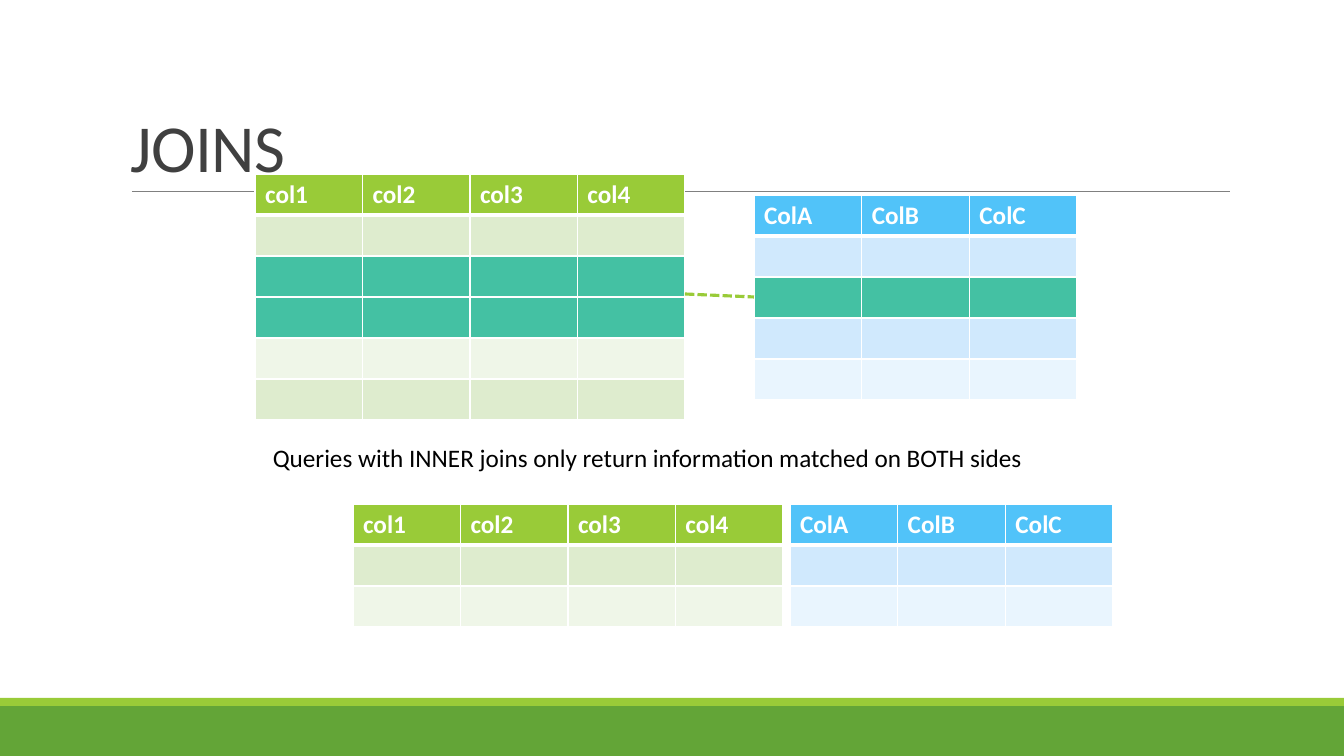
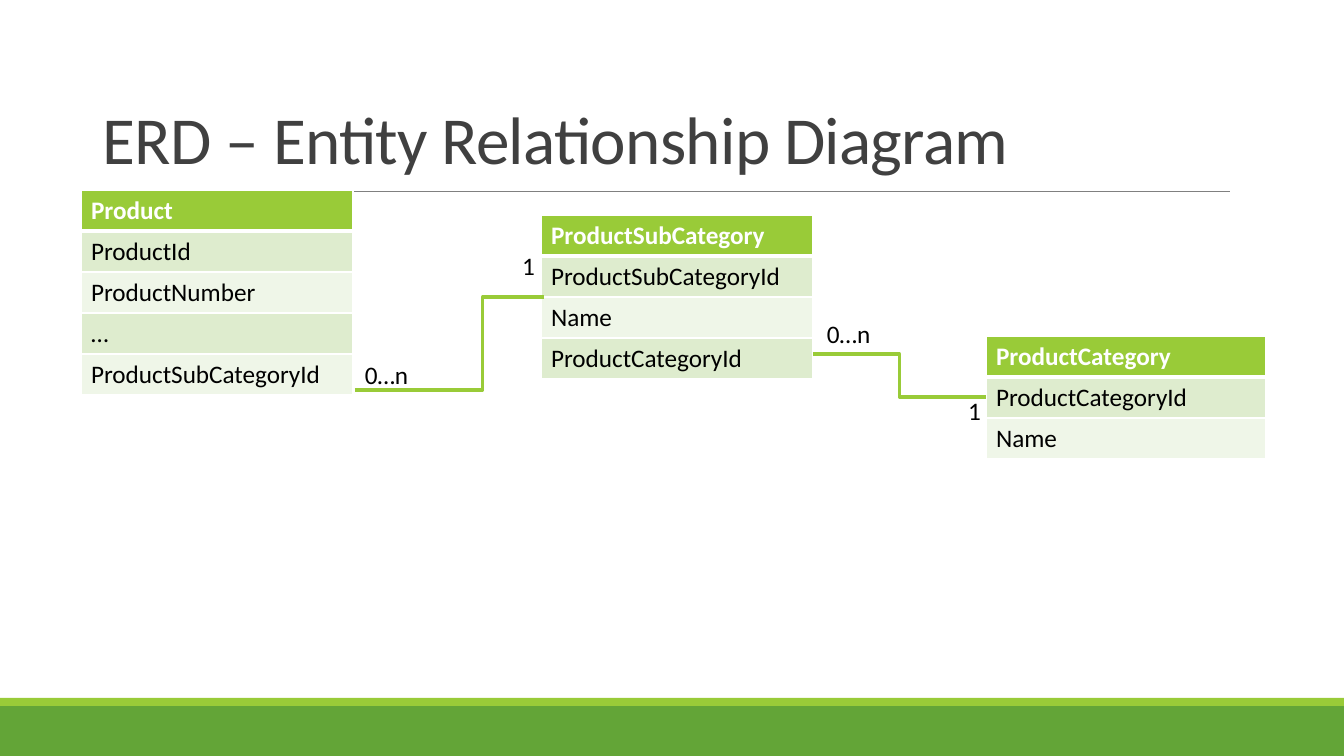
import collections
import lxml.etree
import pptx
import pptx.dml.color
import pptx.enum.dml
import pptx.enum.shapes
import pptx.enum.text
import pptx.oxml.ns
import pptx.util

PX = 914400 / 100.8
ROW_HEIGHT = 41
qn = pptx.oxml.ns.qn
RGB = pptx.dml.color.RGBColor.from_string
ALIGN = pptx.enum.text.PP_ALIGN
ANCHOR = pptx.enum.text.MSO_ANCHOR
CONNECTOR = pptx.enum.shapes.MSO_CONNECTOR
SQUARE_DOT = pptx.enum.dml.MSO_LINE.SQUARE_DOT

Palette = collections.namedtuple("Palette", "header bands")
Theme = collections.namedtuple(
    "Theme", "font title_size body_size title text white rule footer accent match green blue"
)
theme = Theme(
    font="Calibri",
    title_size=48,
    body_size=18,
    title="404040",
    text="000000",
    white="FFFFFF",
    rule="808080",
    footer="63A537",
    accent="99CB38",
    match="44C1A3",
    green=Palette("99CB38", ("DEECCE", "EFF6E8")),
    blue=Palette("51C3F9", ("D0E9FD", "E9F5FE")),
)

Entity = collections.namedtuple("Entity", "left top width palette rows matches", defaults=[()])
Label = collections.namedtuple("Label", "box text align")
Link = collections.namedtuple(
    "Link", "ends color weight kind dash bend", defaults=[CONNECTOR.STRAIGHT, None, None]
)
Page = collections.namedtuple("Page", "title title_box entities labels links")

left_columns = ["col1", "col2", "col3", "col4"]
right_columns = ["ColA", "ColB", "ColC"]
left_blank = [""] * len(left_columns)
right_blank = [""] * len(right_columns)

pages = [
    Page(
        title="JOINS",
        title_box=(121, 31, 1109, 160),
        entities=[
            Entity(255, 174, 430, theme.green, [left_columns] + [left_blank] * 5, (2, 3)),
            Entity(754, 195, 323, theme.blue, [right_columns] + [right_blank] * 4, (2,)),
            Entity(353, 504, 430, theme.green, [left_columns] + [left_blank] * 2),
            Entity(790, 504, 323, theme.blue, [right_columns] + [right_blank] * 2),
        ],
        labels=[
            Label(
                (118, 437, 1059, 40),
                "Queries with INNER joins only return information matched on BOTH sides",
                ALIGN.CENTER,
            ),
        ],
        links=[Link((685, 294, 754, 297), theme.accent, 2.25, dash=SQUARE_DOT)],
    ),
    Page(
        title="ERD – Entity Relationship Diagram",
        title_box=(93, 37, 1159, 146),
        entities=[
            Entity(81, 190, 272, theme.green,
                   [["Product"], ["ProductId"], ["ProductNumber"], ["…"], ["ProductSubCategoryId"]]),
            Entity(541, 215, 272, theme.green,
                   [["ProductSubCategory"], ["ProductSubCategoryId"], ["Name"], ["ProductCategoryId"]]),
            Entity(986, 336, 280, theme.green,
                   [["ProductCategory"], ["ProductCategoryId"], ["Name"]]),
        ],
        labels=[
            Label((355, 354, 70, 40), "0…n", ALIGN.LEFT),
            Label((817, 313, 70, 40), "0…n", ALIGN.LEFT),
            Label((507, 245, 43, 40), "1", ALIGN.CENTER),
            Label((953, 390, 43, 40), "1", ALIGN.CENTER),
        ],
        links=[
            Link((355, 390, 544, 297), theme.accent, 2.25, CONNECTOR.ELBOW, bend=67600),
            Link((813, 354, 986, 397), theme.accent, 2.25, CONNECTOR.ELBOW, bend=50000),
        ],
    ),
]


def write(frame, text, *, size=theme.body_size, color=theme.text, bold=False,
          align=ALIGN.LEFT, anchor=ANCHOR.TOP, leading=None, tracking=None):
    frame.word_wrap = True
    frame.vertical_anchor = anchor
    paragraph = frame.paragraphs[0]
    paragraph.alignment = align
    paragraph.line_spacing = leading
    run = paragraph.add_run()
    run.text = text
    run.font.name = theme.font
    run.font.size = pptx.util.Pt(size)
    run.font.bold = bold
    run.font.color.rgb = RGB(color)
    if tracking is not None:
        run.font._element.set("spc", str(tracking))


def draw_link(slide, link):
    connector = slide.shapes.add_connector(link.kind, *[round(v * PX) for v in link.ends])
    connector.line.color.rgb = RGB(link.color)
    connector.line.width = pptx.util.Pt(link.weight)
    if link.dash is not None:
        connector.line.dash_style = link.dash
    properties = connector._element.spPr
    lxml.etree.SubElement(properties, qn("a:effectLst"))
    if link.bend is not None:
        adjustments = properties.find(qn("a:prstGeom")).get_or_add_avLst()
        lxml.etree.SubElement(adjustments, qn("a:gd"), name="adj1", fmla=f"val {link.bend}")


deck = pptx.Presentation()
deck.slide_width = round(1344 * PX)
deck.slide_height = round(756 * PX)
blank_layout = deck.slide_layouts[6]

for page in pages:
    slide = deck.slides.add_slide(blank_layout)

    for top, height, color in [(706, 50, theme.footer), (698, 8, theme.accent)]:
        band = slide.shapes.add_shape(
            pptx.enum.shapes.MSO_SHAPE.RECTANGLE,
            0, round(top * PX), deck.slide_width, round(height * PX),
        )
        band.shadow.inherit = False
        band.fill.solid()
        band.fill.fore_color.rgb = RGB(color)
        band.line.fill.background()

    draw_link(slide, Link((132, 191, 1230, 191), theme.rule, 0.5))

    heading = slide.shapes.add_textbox(*[round(v * PX) for v in page.title_box])
    write(heading.text_frame, page.title, size=theme.title_size, color=theme.title,
          anchor=ANCHOR.BOTTOM, leading=0.85, tracking=-50)

    for entity in page.entities:
        row_count, column_count = len(entity.rows), len(entity.rows[0])
        grid = slide.shapes.add_table(
            row_count, column_count,
            round(entity.left * PX), round(entity.top * PX),
            round(entity.width * PX), round(row_count * ROW_HEIGHT * PX),
        ).table
        grid.horz_banding = False
        for column in grid.columns:
            column.width = round(entity.width / column_count * PX)
        for row_index, row in enumerate(entity.rows):
            grid.rows[row_index].height = round(ROW_HEIGHT * PX)
            is_header = row_index == 0
            if is_header:
                fill = entity.palette.header
            elif row_index in entity.matches:
                fill = theme.match
            else:
                fill = entity.palette.bands[(row_index - 1) % 2]
            edges = {"lnL": 1, "lnR": 1, "lnT": 3 if row_index == 1 else 1, "lnB": 3 if is_header else 1}
            for column_index, text in enumerate(row):
                cell = grid.cell(row_index, column_index)
                cell_properties = cell._tc.get_or_add_tcPr()
                for edge, weight in edges.items():
                    border = lxml.etree.SubElement(
                        cell_properties, qn(f"a:{edge}"), w=str(pptx.util.Pt(weight))
                    )
                    paint = lxml.etree.SubElement(border, qn("a:solidFill"))
                    lxml.etree.SubElement(paint, qn("a:srgbClr"), val=theme.white)
                cell.fill.solid()
                cell.fill.fore_color.rgb = RGB(fill)
                if text:
                    write(cell.text_frame, text, bold=is_header,
                          color=theme.white if is_header else theme.text)

    for label in page.labels:
        caption = slide.shapes.add_textbox(*[round(v * PX) for v in label.box])
        write(caption.text_frame, label.text, align=label.align)

    for link in page.links:
        draw_link(slide, link)

deck.save("out.pptx")
